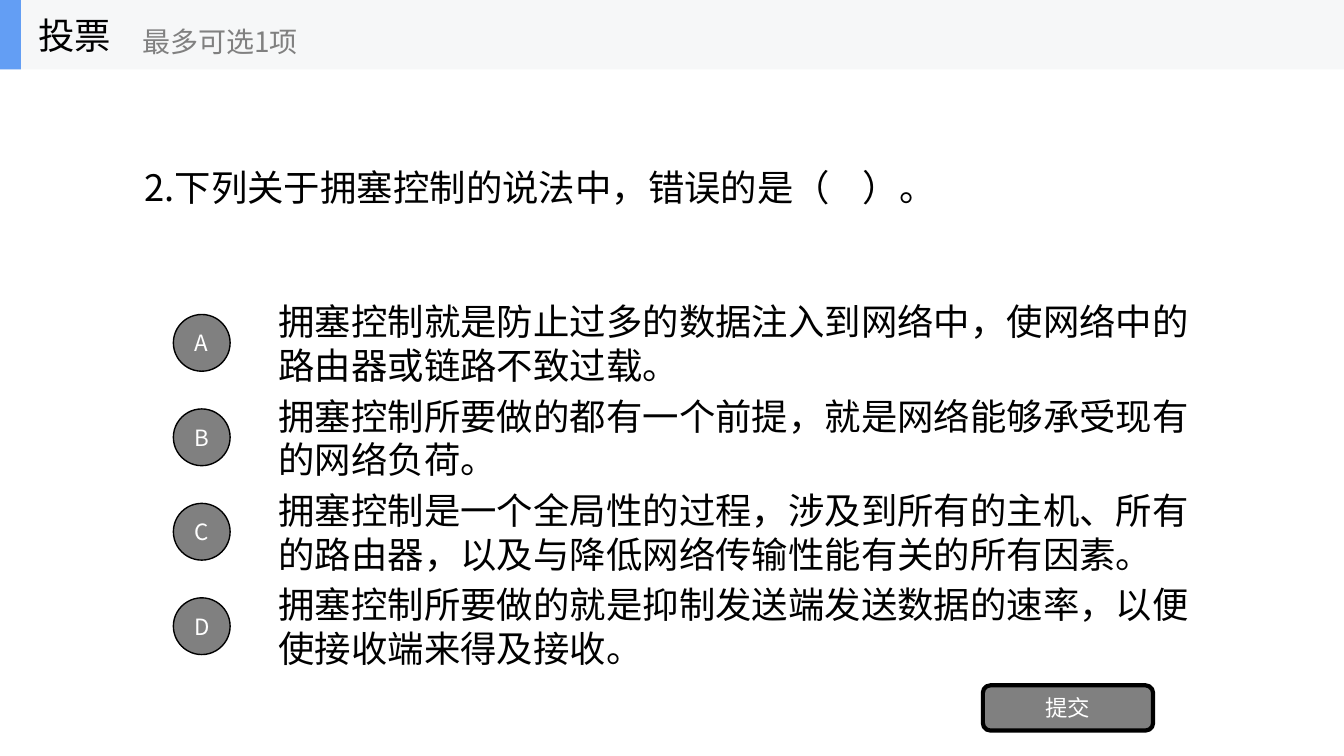
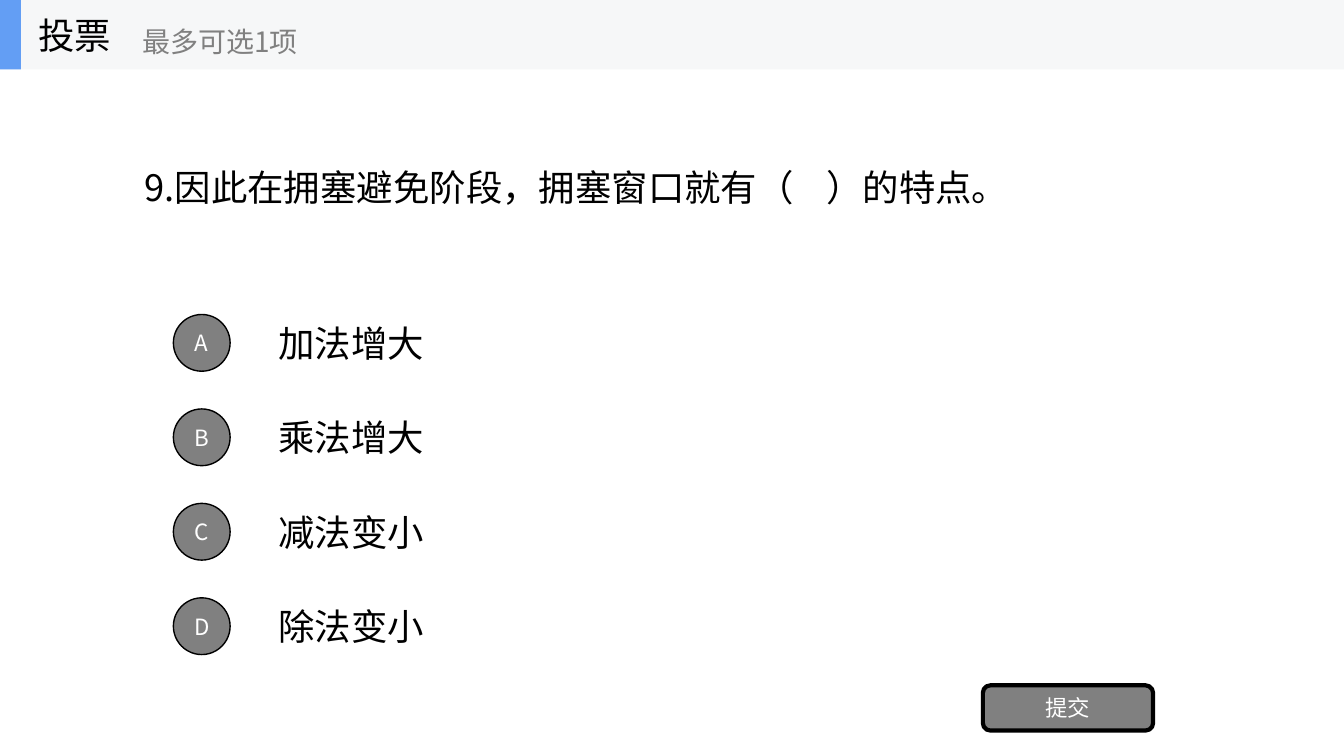
"""Build two single-choice voting slides on congestion control."""
from pptx import Presentation
from pptx import util as u
from pptx.dml.color import RGBColor
from pptx.enum import shapes, text
from pptx.oxml.ns import qn
from lxml import etree

FONT = "Noto Sans CJK SC"
COLORS = {"black": "000000", "white": "FFFFFF", "gray": "808080",
          "band": "F6F7F8", "accent": "639EF4"}
SLIDE_WIDTH, BAND_HEIGHT = 33.87, 1.75
FIRST_OPTION, OPTION_PITCH, OPTION_HEIGHT = 7.75, 2.38, 1.78
BADGE = 1.43
QUESTIONS = [
    ("2.下列关于拥塞控制的说法中，错误的是（    ）。", [
        "拥塞控制就是防止过多的数据注入到网络中，使网络中的路由器或链路不致过载。",
        "拥塞控制所要做的都有一个前提，就是网络能够承受现有的网络负荷。",
        "拥塞控制是一个全局性的过程，涉及到所有的主机、所有的路由器，以及与降低网络传输性能有关的所有因素。",
        "拥塞控制所要做的就是抑制发送端发送数据的速率，以便使接收端来得及接收。"]),
    ("9.因此在拥塞避免阶段，拥塞窗口就有（    ）的特点。", [
        "加法增大", "乘法增大", "减法变小", "除法变小"]),
]


def write(holder, words, size, color, align=text.PP_ALIGN.LEFT):
    frame = holder.text_frame
    frame.word_wrap = True
    frame.vertical_anchor = text.MSO_ANCHOR.MIDDLE
    paragraph = frame.paragraphs[0]
    paragraph.alignment = align
    run = paragraph.add_run()
    run.text = words
    run.font.size = u.Pt(size)
    run.font.color.rgb = RGBColor.from_string(COLORS[color])
    run.font.name = FONT
    etree.SubElement(run.font._element, qn("a:ea")).set("typeface", FONT)


def block(parent, preset, box, fill, border=0, label=""):
    shape = parent.add_shape(preset, *map(u.Cm, box))
    shape.shadow.inherit = False
    shape.fill.solid()
    shape.fill.fore_color.rgb = RGBColor.from_string(COLORS[fill])
    if border:
        shape.line.color.rgb = RGBColor.from_string(COLORS["black"])
        shape.line.width = u.Pt(border)
    else:
        shape.line.fill.background()
    if label:
        write(shape, label, 16, "white", text.PP_ALIGN.CENTER)


deck = Presentation()
deck.slide_width, deck.slide_height = u.Cm(SLIDE_WIDTH), u.Cm(19.05)

for question, options in QUESTIONS:
    canvas = deck.slides.add_slide(deck.slide_layouts[6]).shapes
    write(canvas.add_textbox(u.Cm(3.39), u.Cm(BAND_HEIGHT), u.Cm(27.1), u.Cm(5.94)),
          question, 26, "black")

    for row, (letter, option) in enumerate(zip("ABCD", options)):
        top = FIRST_OPTION + row * OPTION_PITCH
        write(canvas.add_textbox(u.Cm(6.77), u.Cm(top), u.Cm(23.71), u.Cm(OPTION_HEIGHT)),
              option, 26, "black")
        badge_top = top + (OPTION_HEIGHT - BADGE) / 2
        block(canvas, shapes.MSO_SHAPE.OVAL, (4.37, badge_top, BADGE, BADGE),
              "gray", 1, letter)

    block(canvas, shapes.MSO_SHAPE.ROUNDED_RECTANGLE, (24.77, 17.27, 4.29, 1.14),
          "gray", 3, "提交")

    header = canvas.add_group_shape().shapes
    block(header, shapes.MSO_SHAPE.RECTANGLE, (0, 0, SLIDE_WIDTH, BAND_HEIGHT), "band")
    block(header, shapes.MSO_SHAPE.RECTANGLE, (0, 0, 0.53, BAND_HEIGHT), "accent")
    write(header.add_textbox(u.Cm(0.71), u.Cm(0), u.Cm(5.28), u.Cm(BAND_HEIGHT)),
          "投票", 26, "black")
    write(header.add_textbox(u.Cm(3.33), u.Cm(0.32), u.Cm(6.35), u.Cm(1.43)),
          "最多可选1项", 20, "gray")

deck.save("out.pptx")
